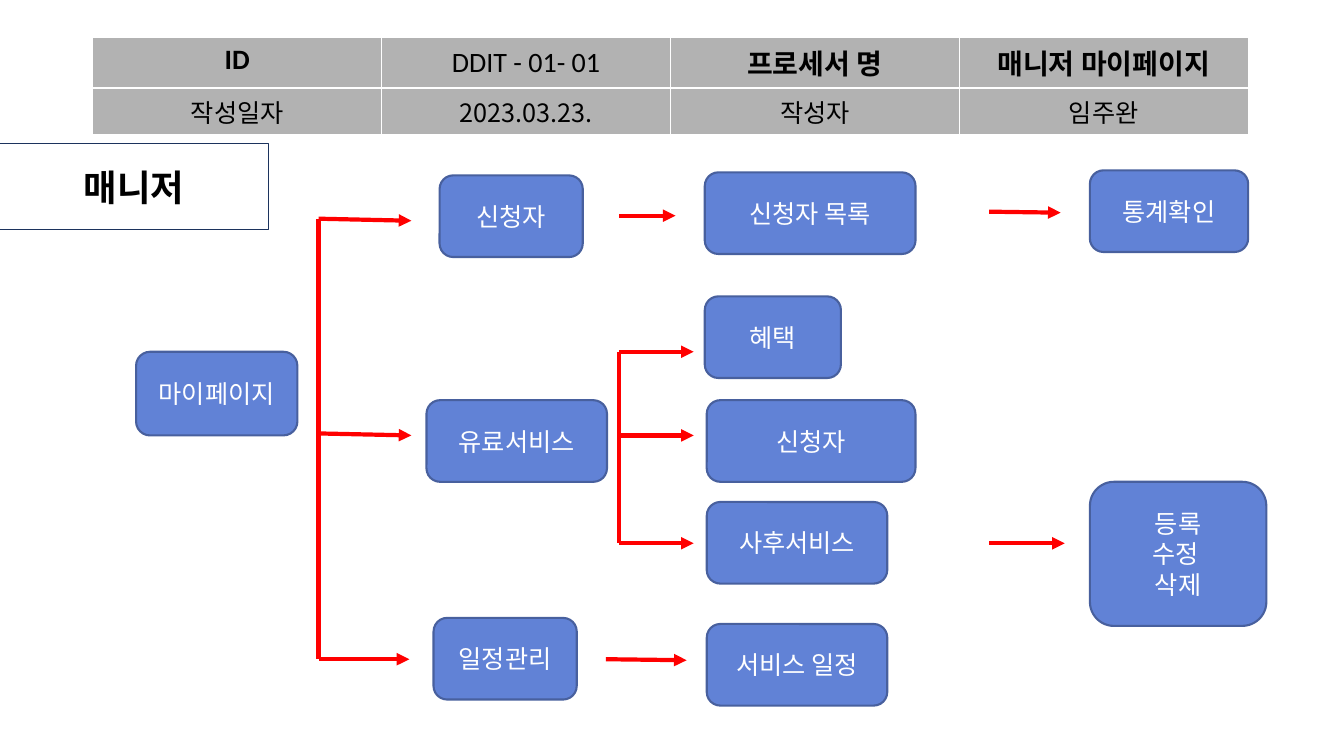
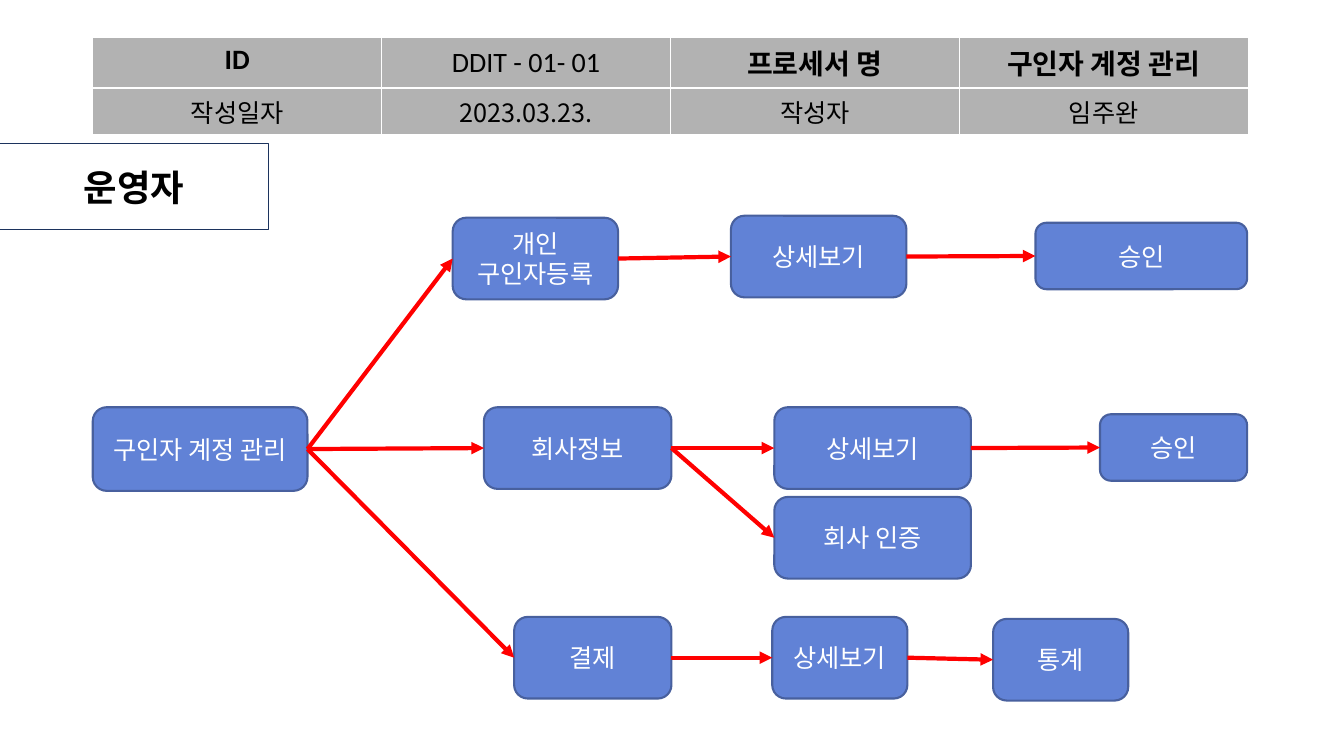
from dataclasses import dataclass

from lxml import etree
from pptx import Presentation
from pptx.dml.color import RGBColor
from pptx.enum.shapes import MSO_CONNECTOR, MSO_SHAPE
from pptx.enum.text import MSO_ANCHOR, PP_ALIGN
from pptx.oxml.ns import qn
from pptx.util import Inches, Pt

STRAIGHT = MSO_CONNECTOR.STRAIGHT
RECTANGLE = MSO_SHAPE.RECTANGLE
ROUNDED = MSO_SHAPE.ROUNDED_RECTANGLE
MIDDLE = MSO_ANCHOR.MIDDLE
TOP = MSO_ANCHOR.TOP
CENTER = PP_ALIGN.CENTER
LEFT_SIDE, RIGHT_SIDE = 1, 3


@dataclass(frozen=True)
class Theme:
    text: str = "000000"
    white: str = "FFFFFF"
    header_fill: str = "B2B2B2"
    step_fill: str = "6182D6"
    step_line: str = "48609E"
    role_line: str = "1C335D"
    arrow: str = "FF0000"
    latin_font: str = "Calibri"
    korean_font: str = "Noto Sans CJK KR"
    role_size: int = 26
    heading_size: int = 20
    body_size: int = 18
    arrow_width: float = 3
    step_width: float = 1.5
    border_width: float = 1


THEME = Theme()
STEP_HEIGHT = 0.81


def rgb(value):
    return RGBColor.from_string(value)


def write(frame, text, size, color, bold=False, font=THEME.korean_font):
    for index, line in enumerate(text.split("\n")):
        paragraph = frame.paragraphs[0] if index == 0 else frame.add_paragraph()
        paragraph.text = line
        paragraph.alignment = CENTER
        paragraph.font.size = Pt(size)
        paragraph.font.bold = bold
        paragraph.font.color.rgb = rgb(color)
        paragraph.font.name = font
        defaults = paragraph._p.pPr.find(qn("a:defRPr"))
        etree.SubElement(defaults, qn("a:ea"), typeface=THEME.korean_font)


def add_box(slide, kind, place, fill, line, line_width):
    box = slide.shapes.add_shape(kind, *map(Inches, place))
    box.shadow.inherit = False
    box.fill.solid()
    box.fill.fore_color.rgb = rgb(fill)
    box.line.color.rgb = rgb(line)
    box.line.width = Pt(line_width)
    box.text_frame.word_wrap = True
    box.text_frame.vertical_anchor = MIDDLE
    return box


def add_step(slide, text, left, top, width, height=STEP_HEIGHT):
    step = add_box(slide, ROUNDED, (left, top, width, height),
                   THEME.step_fill, THEME.step_line, THEME.step_width)
    write(step.text_frame, text, THEME.body_size, THEME.white)
    return step


def add_role(slide, text):
    role = add_box(slide, RECTANGLE, (0, 1.42, 2.66, 0.86), THEME.white, THEME.role_line, 0)
    write(role.text_frame, text, THEME.role_size, THEME.text, bold=True)


def add_line(slide, x1, y1, x2, y2, arrow=True):
    line = slide.shapes.add_connector(STRAIGHT, *map(Inches, (x1, y1, x2, y2)))
    line.line.color.rgb = rgb(THEME.arrow)
    line.line.width = Pt(THEME.arrow_width)
    properties = line._element.spPr
    if arrow:
        etree.SubElement(properties.find(qn("a:ln")), qn("a:tailEnd"), type="triangle")
    etree.SubElement(properties, qn("a:effectLst"))
    return line


def add_fork(slide, x, tips):
    add_line(slide, x, tips[0][0], x, tips[-1][0], arrow=False)
    for start_y, tip_x, tip_y in tips:
        add_line(slide, x, start_y, tip_x, tip_y)


def join(slide, source, target):
    arrow = add_line(slide, 0, 0, 1, 1)
    arrow.begin_connect(source, RIGHT_SIDE)
    arrow.end_connect(target, LEFT_SIDE)


def add_cell_borders(cell):
    properties = cell._tc.get_or_add_tcPr()
    for side in ("lnL", "lnR", "lnT", "lnB"):
        border = etree.SubElement(properties, qn(f"a:{side}"), w=str(Pt(THEME.border_width)))
        fill = etree.SubElement(border, qn("a:solidFill"))
        etree.SubElement(fill, qn("a:srgbClr"), val=THEME.white)


def add_header(slide, process):
    rows = (("ID", "DDIT - 01- 01", "프로세서 명", process),
            ("작성일자", "2023.03.23.", "작성자", "임주완"))
    frame = slide.shapes.add_table(2, 4, Inches(0.92), Inches(0.37), Inches(11.46), Inches(0.84))
    table = frame.table
    table.first_row = False
    table.horz_banding = False
    for row, height in zip(table.rows, (0.43, 0.41)):
        row.height = Inches(height)
    for r, texts in enumerate(rows):
        for c, text in enumerate(texts):
            cell = table.cell(r, c)
            is_code = (r, c) == (0, 1)
            add_cell_borders(cell)
            cell.fill.solid()
            cell.fill.fore_color.rgb = rgb(THEME.header_fill)
            cell.margin_left = cell.margin_right = Inches(0 if is_code else 0.1)
            cell.margin_top = cell.margin_bottom = Inches(0 if is_code else 0.05)
            cell.vertical_anchor = MIDDLE if is_code else TOP
            if r == 0:
                write(cell.text_frame, text, THEME.heading_size, THEME.text,
                      bold=not is_code, font=THEME.latin_font)
            else:
                write(cell.text_frame, text, THEME.body_size, THEME.text)


def start_slide(deck, process, role):
    slide = deck.slides.add_slide(deck.slide_layouts[6])
    add_header(slide, process)
    add_role(slide, role)
    return slide


def build_manager_page(deck):
    slide = start_slide(deck, "매니저 마이페이지", "매니저")
    steps = (
        ("마이페이지", 1.35, 3.49, 1.6, 0.83),
        ("신청자", 4.36, 1.74, 1.42),
        ("유료서비스", 4.23, 3.97, 1.79),
        ("일정관리", 4.3, 6.13, 1.42),
        ("신청자 목록", 6.99, 1.71, 2.09),
        ("혜택", 6.99, 2.94, 1.35),
        ("신청자", 7.01, 3.97, 2.07),
        ("사후서비스", 7.01, 4.98, 1.79),
        ("서비스 일정", 7.01, 6.19, 1.79),
        ("통계확인", 10.81, 1.69, 1.57),
        ("등록\n수정 \n삭제", 10.81, 4.78, 1.75, 1.43),
    )
    for step in steps:
        add_step(slide, *step)
    add_fork(slide, 3.16, ((2.17, 4.08, 2.19), (4.3, 4.08, 4.32), (6.54, 4.06, 6.54)))
    add_fork(slide, 6.14, [(y, 6.88, y) for y in (3.49, 4.32, 5.39)])
    arrows = (
        (6.14, 2.14, 6.7, 2.14),
        (9.81, 2.1, 10.52, 2.11),
        (9.81, 5.39, 10.56, 5.39),
        (6.01, 6.54, 6.81, 6.55),
    )
    for arrow in arrows:
        add_line(slide, *arrow)


def build_account_page(deck):
    slide = start_slide(deck, "구인자 계정 관리", "운영자")
    account = add_step(slide, "구인자 계정 관리", 0.92, 4.04, 2.13, 0.83)
    flows = (
        (("개인 구인자등록", 4.49, 2.16, 1.64),
         ("상세보기", 7.25, 2.14, 1.74),
         ("승인", 10.27, 2.21, 2.1, 0.66)),
        (("회사정보", 4.8, 4.04, 1.86),
         ("상세보기", 7.68, 4.04, 1.95),
         ("승인", 10.91, 4.11, 1.46, 0.66)),
        (("결제", 5.1, 6.12, 1.56),
         ("상세보기", 7.66, 6.12, 1.34),
         ("통계", 9.85, 6.14, 1.34)),
    )
    first_steps = []
    for flow in flows:
        steps = [add_step(slide, *step) for step in flow]
        first_steps.append(steps[0])
        for source, target in zip([account] + steps, steps):
            join(slide, source, target)
    company = first_steps[1]
    verification = add_step(slide, "회사 인증", 7.68, 4.93, 1.95)
    join(slide, company, verification)


def main():
    deck = Presentation()
    deck.slide_width = Inches(13.33)
    deck.slide_height = Inches(7.5)
    build_manager_page(deck)
    build_account_page(deck)
    deck.save("out.pptx")


if __name__ == "__main__":
    main()
